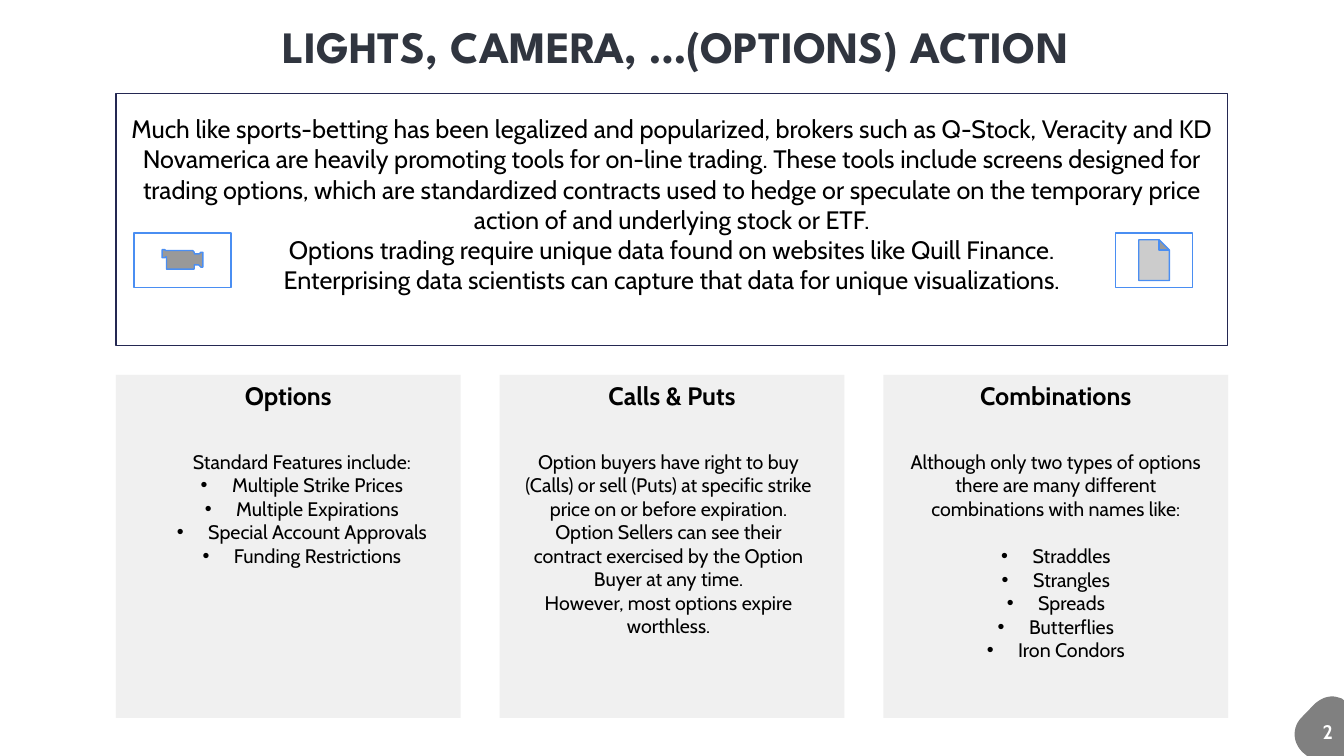
from dataclasses import dataclass

from lxml.etree import SubElement
from pptx import Presentation
from pptx.dml.color import RGBColor
from pptx.enum.shapes import MSO_SHAPE
from pptx.enum.text import MSO_ANCHOR, MSO_AUTO_SIZE, PP_ALIGN
from pptx.oxml.ns import qn
from pptx.util import Cm, Pt


@dataclass(frozen=True)
class Theme:
    heading_font: str = "League Spartan"
    body_font: str = "Cabin"
    title: str = "30353F"
    text: str = "000000"
    white: str = "FFFFFF"
    navy: str = "242852"
    blue: str = "4A8EF2"
    card: str = "CFCFCF"
    badge: str = "808080"
    title_size: int = 32
    lead_size: int = 18
    body_size: int = 14
    blank_line: int = 17


class Deck:
    def __init__(self, theme):
        self.theme = theme
        self.prs = Presentation()
        self.prs.slide_width = Cm(33.87)
        self.prs.slide_height = Cm(19.05)
        self.s = self.prs.slides.add_slide(self.prs.slide_layouts[6])

    def paint(self, sp, fill, line=None, opacity=None):
        sp.shadow.inherit = False
        sp.fill.solid()
        sp.fill.fore_color.rgb = RGBColor.from_string(fill)
        if opacity:
            color = sp.element.spPr.find(qn("a:solidFill")).find(qn("a:srgbClr"))
            SubElement(color, qn("a:alpha"), val=str(opacity * 1000))
        if line:
            sp.line.color.rgb = RGBColor.from_string(line)
            sp.line.width = Pt(1)
        else:
            sp.line.fill.background()

    def fill_text(self, tf, lines, size, bold=False, color=None, font=None,
                  align=PP_ALIGN.CENTER):
        tf.text = "\n".join(lines)
        for p in tf.paragraphs:
            p.alignment = align
            for r in p.runs:
                r.font.size = Pt(size)
                r.font.bold = bold
                r.font.name = font or self.theme.body_font
                r.font.color.rgb = RGBColor.from_string(color or self.theme.text)

    def shape(self, kind, x, y, w, h, fill, line=None, opacity=None):
        sp = self.s.shapes.add_shape(kind, Cm(x), Cm(y), Cm(w), Cm(h))
        self.paint(sp, fill, line, opacity)
        return sp

    def text(self, x, y, w, h, lines, size, wrap=True, inset=0, **style):
        tf = self.s.shapes.add_textbox(Cm(x), Cm(y), Cm(w), Cm(h)).text_frame
        tf.word_wrap = wrap
        tf.auto_size = MSO_AUTO_SIZE.SHAPE_TO_FIT_TEXT
        tf.margin_left = tf.margin_right = Cm(2 * inset)
        tf.margin_top = tf.margin_bottom = Cm(inset)
        self.fill_text(tf, lines, size, **style)
        return tf

    def bullets(self, paragraphs):
        for p in paragraphs:
            pPr = p._p.get_or_add_pPr()
            pPr.set("marL", str(Cm(0.79)))
            pPr.set("indent", str(-Cm(0.79)))
            SubElement(pPr, qn("a:buFont"), typeface="Arial")
            SubElement(pPr, qn("a:buChar"), char="•")

    def card(self, x, heading):
        sp = self.shape(MSO_SHAPE.RECTANGLE, x, 9.45, 8.69, 8.64, self.theme.card, opacity=30)
        sp.text_frame.vertical_anchor = MSO_ANCHOR.TOP
        self.fill_text(sp.text_frame, [heading], self.theme.lead_size, bold=True)

    def card_body(self, x, h, lines, items, gap):
        tf = self.text(x, 11.33, 7.44, h, lines + items, self.theme.body_size)
        listed = tf.paragraphs[len(lines):]
        if gap:
            listed[0].space_before = Pt(self.theme.blank_line)
        self.bullets(listed)

    def outline(self, points, fill):
        builder = self.s.shapes.build_freeform(Cm(points[0][0]), Cm(points[0][1]))
        builder.add_line_segments([(Cm(x), Cm(y)) for x, y in points[1:]], close=True)
        self.paint(builder.convert_to_shape(), fill)


def bezier(a, b, c, d, steps=12):
    return [
        tuple(
            (1 - t) ** 3 * i + 3 * (1 - t) ** 2 * t * j + 3 * (1 - t) * t**2 * k + t**3 * m
            for i, j, k, m in zip(a, b, c, d)
        )
        for t in (n / steps for n in range(steps + 1))
    ]


INTRO = [
    "Much like sports-betting has been legalized and popularized, brokers such as "
    "Q-Stock, Veracity and KD Novamerica are heavily promoting tools for on-line trading. "
    "These tools include screens designed for trading options, which are standardized "
    "contracts used to hedge or speculate on the temporary price action of and underlying "
    "stock or ETF.",
    "Options trading require unique data found on websites like Quill Finance.",
    "Enterprising data scientists can capture that data for unique visualizations.",
]

CARDS = [
    (
        "Options", 3.89, 4.19,
        ["Standard Features include:"],
        ["Multiple Strike Prices", "Multiple Expirations",
         "Special Account Approvals", "Funding Restrictions"],
        False,
    ),
    (
        "Calls & Puts", 13.13, 4.78,
        ["Option buyers have right to buy (Calls) or sell (Puts) at specific strike price "
         "on or before expiration.",
         "Option Sellers can see their contract exercised by the Option Buyer at any time.",
         "However, most options expire worthless."],
        [],
        False,
    ),
    (
        "Combinations", 22.89, 5.99,
        ["Although only two types of options there are many different combinations "
         "with names like:"],
        ["Straddles", "Strangles", "Spreads", "Butterflies", "Iron Condors"],
        True,
    ),
]


def main():
    theme = Theme()
    deck = Deck(theme)
    deck.text(6.27, 0.46, 21.54, 1.37, ["LIGHTS, CAMERA, …(OPTIONS) ACTION"],
              theme.title_size, wrap=False, bold=True, color=theme.title,
              font=theme.heading_font)

    intro = deck.shape(MSO_SHAPE.RECTANGLE, 2.92, 2.36, 28.02, 6.35, theme.white, theme.navy)
    intro.text_frame.vertical_anchor = MSO_ANCHOR.MIDDLE
    intro.text_frame.margin_bottom = Cm(0.9)
    deck.fill_text(intro.text_frame, INTRO, theme.lead_size)

    for i, (heading, x, h, lines, items, gap) in enumerate(CARDS):
        deck.card(2.92 + 9.67 * i, heading)
        deck.card_body(x, h, lines, items, gap)

    badge = (
        bezier((33.58, 17.55), (33.66, 17.55), (33.73, 17.58), (33.81, 17.6))
        + [(33.87, 17.65), (33.87, 19.05), (32.94, 19.05)]
        + bezier((32.82, 18.95), (32.56, 18.69), (32.56, 18.31), (32.82, 18.06))
        + bezier((33.12, 17.75), (33.25, 17.63), (33.4, 17.55), (33.58, 17.55))
    )
    deck.outline(badge, theme.badge)
    deck.text(33.07, 18.01, 0.76, 0.86, ["2"], theme.body_size, wrap=False, inset=0.13,
              bold=True, color=theme.white, align=PP_ALIGN.LEFT)

    for kind, x, w in (
        (MSO_SHAPE.ACTION_BUTTON_MOVIE, 3.38, 2.44),
        (MSO_SHAPE.ACTION_BUTTON_DOCUMENT, 28.12, 1.93),
    ):
        deck.shape(kind, x, 5.87, w, 1.37, theme.white, theme.blue)

    deck.prs.save("out.pptx")


if __name__ == "__main__":
    main()
